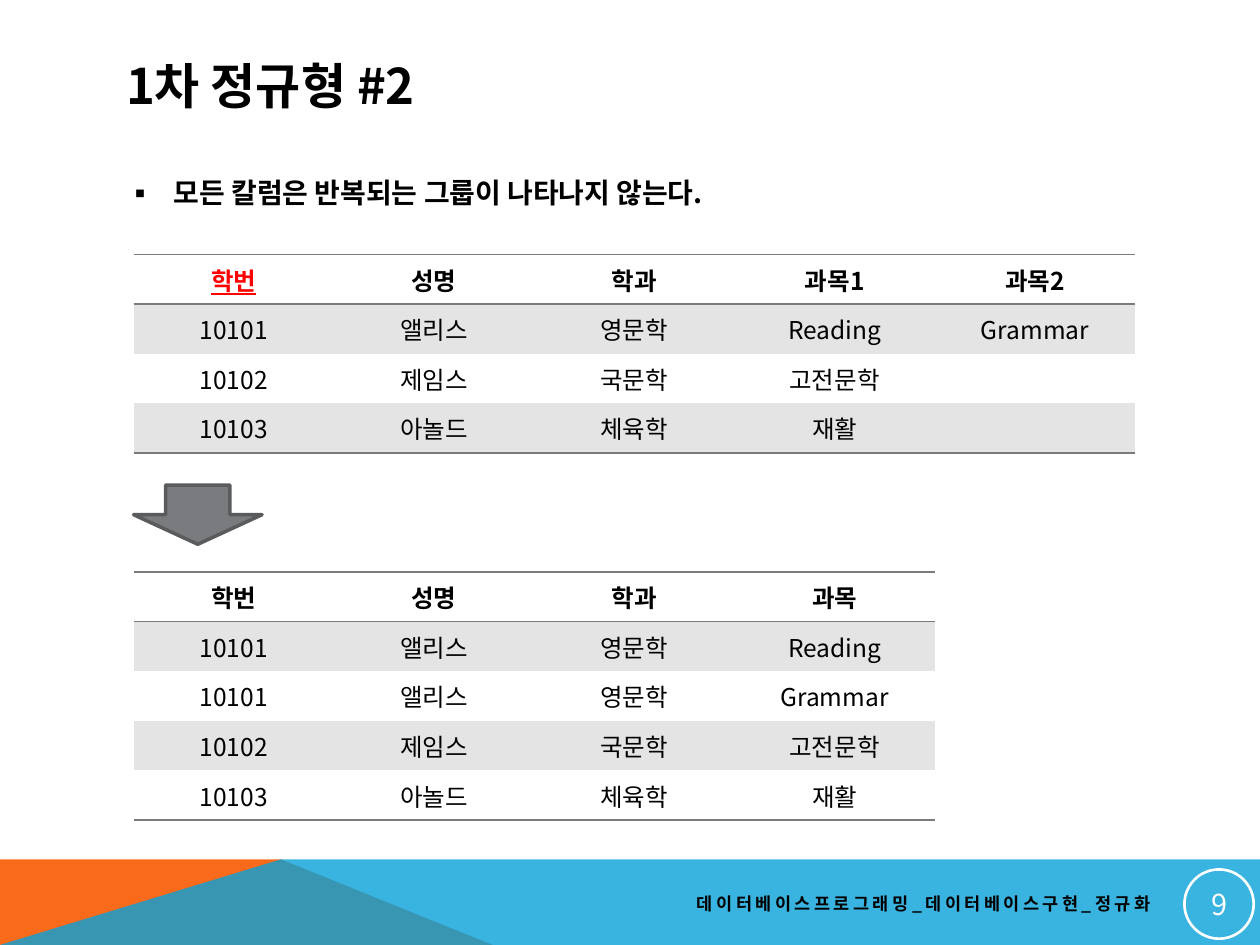
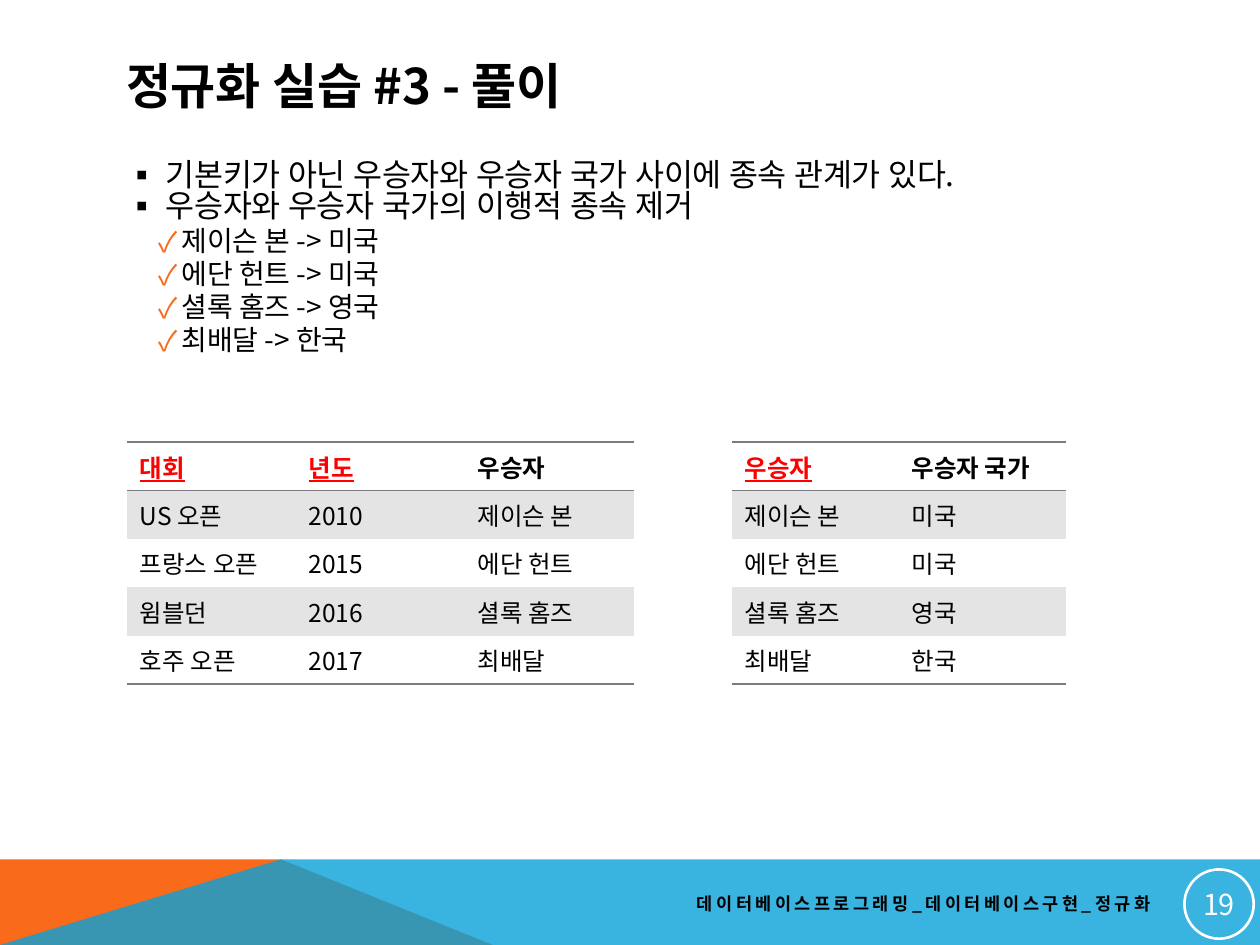
from dataclasses import dataclass

from lxml import etree
from pptx import Presentation
from pptx.dml.color import RGBColor
from pptx.enum.shapes import MSO_SHAPE
from pptx.enum.text import MSO_ANCHOR, MSO_AUTO_SIZE, PP_ALIGN
from pptx.oxml.ns import qn
from pptx.util import Inches, Pt

LEFT, CENTER, RIGHT = PP_ALIGN.LEFT, PP_ALIGN.CENTER, PP_ALIGN.RIGHT
TOP, MIDDLE = MSO_ANCHOR.TOP, MSO_ANCHOR.MIDDLE
OVAL, DOWN_ARROW = MSO_SHAPE.OVAL, MSO_SHAPE.DOWN_ARROW
NO_AUTOFIT = MSO_AUTO_SIZE.NONE

# The grid: 100 columns by 75 rows of square units
COLUMNS, ROWS = 100, 75
WIDTH, HEIGHT = Inches(10), Inches(7.5)
MARGIN, CONTENT_WIDTH = 9, 82.2
BAND_TOP = 68.2


@dataclass(frozen=True)
class Theme:
    font: str = "Noto Sans CJK KR"
    ink: str = "000000"
    paper: str = "FFFFFF"
    key: str = "FF0000"
    orange: str = "F96A1B"
    blue: str = "08A1D9"
    gray: str = "797B7E"
    gray_edge: str = "5A5B5D"
    stripe: str = "E4E4E5"
    title_size: float = 28
    list_size: float = 18
    item_size: float = 16
    number_size: float = 16.5
    cell_size: float = 14
    footer_size: float = 10
    title_spacing: float = 0.9
    list_spacing: float = 0.83


@dataclass(frozen=True)
class ListLevel:
    """Bullet form of one list level; indents in grid columns, space in points."""
    mark: str
    margin: float
    hanging: float
    size: float
    level: int = 0
    before: float = 0
    bold: bool = False
    mark_color: str = Theme.ink


HEADLINE = ListLevel("▪", 3.8, 3.8, Theme.item_size, bold=True)
POINT = ListLevel("▪", 3.1, 3.1, Theme.list_size)
CHECK = ListLevel("✓", 4.4, 1.8, Theme.item_size, level=1, before=3,
                  mark_color=Theme.orange)


def across(columns):
    return round(WIDTH * columns / COLUMNS)


def down(rows):
    return round(HEIGHT * rows / ROWS)


def area(left, top, width, height):
    return across(left), down(top), across(width), down(height)


def set_all(target, values):
    for name, value in values.items():
        setattr(target, name, value)


def add_xml(parent, tag, **attributes):
    return etree.SubElement(parent, qn(tag), attributes)


def add_xml_fill(parent, color):
    add_xml(add_xml(parent, "a:solidFill"), "a:srgbClr", val=color)


class DeckWriter:
    FOOTER = "데이터베이스프로그래밍_데이터베이스구현_정규화"

    def __init__(self, theme):
        self.theme = theme
        self.deck = Presentation()
        set_all(self.deck, {"slide_width": WIDTH, "slide_height": HEIGHT})
        self.page = None

    def start_page(self, title, number):
        self.page = self.deck.slides.add_slide(self.deck.slide_layouts[1])
        self.band()
        self.title(title)
        self.footer()
        self.page_number(number)

    def span(self, para, text, size, color=None, bold=False, underline=False):
        span = para.add_run()
        span.text = text
        set_all(span.font, {"name": self.theme.font, "size": Pt(size),
                            "bold": bold, "underline": underline})
        span.font.color.rgb = RGBColor.from_string(color or self.theme.ink)
        properties = span._r.get_or_add_rPr()
        add_xml(properties, "a:ea", typeface=self.theme.font)
        return properties

    def paint(self, shape, fill=None, line=None, line_width=1):
        shape.shadow.inherit = False
        if fill:
            shape.fill.solid()
            shape.fill.fore_color.rgb = RGBColor.from_string(fill)
        else:
            shape.fill.background()
        if line:
            shape.line.color.rgb = RGBColor.from_string(line)
            shape.line.width = Pt(line_width)
        else:
            shape.line.fill.background()

    def polygon(self, points, fill):
        corners = [(across(x), down(y)) for x, y in points]
        builder = self.page.shapes.build_freeform(*corners[0])
        builder.add_line_segments(corners[1:], close=True)
        shape = builder.convert_to_shape()
        self.paint(shape, fill)
        return shape

    def band(self):
        peak = (22.3, BAND_TOP)
        self.polygon([(0, ROWS), (0, BAND_TOP), peak, (39.1, ROWS)], self.theme.orange)
        veil = self.polygon([(0, ROWS), peak, (COLUMNS, BAND_TOP), (COLUMNS, ROWS)],
                            self.theme.blue)
        color = veil._element.spPr.find(f"{qn('a:solidFill')}/{qn('a:srgbClr')}")
        add_xml(color, "a:alpha", val="80000")

    def place(self, box, position, anchor):
        set_all(box, dict(zip(("left", "top", "width", "height"), area(*position))))
        set_all(box.text_frame, {"word_wrap": True, "auto_size": NO_AUTOFIT,
                                 "vertical_anchor": anchor})
        return box.text_frame.paragraphs[0]

    def title(self, text):
        para = self.place(self.page.shapes.title, (MARGIN, 4, CONTENT_WIDTH, 6), MIDDLE)
        set_all(para, {"alignment": LEFT, "line_spacing": self.theme.title_spacing})
        self.span(para, text, self.theme.title_size, bold=True)

    def footer(self):
        position = (40.6, 70.2, 51.7, 3)
        box = self.page.shapes.add_textbox(*area(*position))
        para = self.place(box, position, MIDDLE)
        para.alignment = RIGHT
        properties = self.span(para, self.FOOTER, self.theme.footer_size, bold=True)
        properties.set("spc", "200")

    def page_number(self, number):
        circle = self.page.shapes.add_shape(OVAL, *area(94, 69, 5.5, 5.5))
        self.paint(circle, line=self.theme.paper, line_width=1.5)
        frame = circle.text_frame
        inset = across(0.1)
        set_all(frame, {"margin_left": inset, "margin_right": inset,
                        "margin_top": inset, "margin_bottom": inset,
                        "vertical_anchor": MIDDLE})
        para = frame.paragraphs[0]
        para.alignment = CENTER
        self.span(para, str(number), self.theme.number_size, self.theme.paper)

    def bullet_list(self, position, items):
        """Fill the body placeholder with (list level, text) items."""
        body = self.page.placeholders[1]
        para = self.place(body, position, TOP)
        for index, (form, text) in enumerate(items):
            if index:
                para = body.text_frame.add_paragraph()
            properties = para._p.get_or_add_pPr()
            properties.set("marL", str(across(form.margin)))
            properties.set("indent", str(-across(form.hanging)))
            color = add_xml(properties, "a:buClr")
            add_xml(color, "a:srgbClr", val=form.mark_color)
            add_xml(properties, "a:buFont", typeface=self.theme.font)
            add_xml(properties, "a:buChar", char=form.mark)
            set_all(para, {"level": form.level, "alignment": LEFT,
                           "space_before": Pt(form.before),
                           "line_spacing": self.theme.list_spacing})
            self.span(para, text, form.size, bold=form.bold)

    def arrow(self, position):
        shape = self.page.shapes.add_shape(DOWN_ARROW, *area(*position))
        self.paint(shape, self.theme.gray, self.theme.gray_edge, 2)

    def border(self, cell, ruled):
        """Rule the sides named in ruled and clear the others."""
        properties = cell._tc.get_or_add_tcPr()
        for side in "LRTB":
            line = add_xml(properties, f"a:ln{side}", w=str(Pt(1)))
            if side in ruled:
                add_xml_fill(line, self.theme.gray)
            else:
                add_xml(line, "a:noFill")

    def table(self, left, top, column_width, row_height, records,
              keys=(), alignment=LEFT, anchor=TOP):
        """Striped table; keys are the headings marked as primary key."""
        rows, columns = len(records), len(records[0])
        position = area(left, top, columns * column_width, rows * row_height)
        table = self.page.shapes.add_table(rows, columns, *position).table
        set_all(table, {"first_row": False, "horz_banding": False})
        for column in table.columns:
            column.width = across(column_width)
        for index, record in enumerate(records):
            table.rows[index].height = down(row_height)
            ruled = ("T" if index < 2 else "") + ("B" if index in (0, rows - 1) else "")
            for cell, text in zip(table.rows[index].cells, record):
                self.border(cell, ruled)
                if index % 2:
                    cell.fill.solid()
                    cell.fill.fore_color.rgb = RGBColor.from_string(self.theme.stripe)
                else:
                    cell.fill.background()
                cell.vertical_anchor = anchor
                para = cell.text_frame.paragraphs[0]
                para.alignment = alignment
                is_key = index == 0 and text in keys
                self.span(para, text, self.theme.cell_size,
                          self.theme.key if is_key else self.theme.ink,
                          bold=index == 0, underline=is_key)


def first_normal_form(writer):
    writer.start_page("1차 정규형 #2", 9)
    writer.bullet_list((MARGIN, 13.9, CONTENT_WIDTH, 5),
                       [(HEADLINE, "모든 칼럼은 반복되는 그룹이 나타나지 않는다.")])
    left = 10.6
    grid = {"column_width": 15.9, "row_height": 3.94,
            "alignment": CENTER, "anchor": MIDDLE}
    alice = ("10101", "앨리스", "영문학")
    james = ("10102", "제임스", "국문학", "고전문학")
    arnold = ("10103", "아놀드", "체육학", "재활")
    heading = ("학번", "성명", "학과")
    writer.table(left, 20.2, records=[
        (*heading, "과목1", "과목2"),
        (*alice, "Reading", "Grammar"),
        (*james, ""),
        (*arnold, ""),
    ], keys={"학번"}, **grid)
    writer.arrow((left, 38.5, 10.2, 4.7))
    writer.table(left, 45.4, records=[
        (*heading, "과목"),
        (*alice, "Reading"),
        (*alice, "Grammar"),
        james,
        arnold,
    ], **grid)


def transitive_dependency_solution(writer):
    writer.start_page("정규화 실습 #3 - 풀이", 19)
    opens = [("US 오픈", "2010"), ("프랑스 오픈", "2015"),
             ("윔블던", "2016"), ("호주 오픈", "2017")]
    winners = [("제이슨 본", "미국"), ("에단 헌트", "미국"),
               ("셜록 홈즈", "영국"), ("최배달", "한국")]
    writer.bullet_list((MARGIN, 12.3, 76, 19.5), [
        (POINT, "기본키가 아닌 우승자와 우승자 국가 사이에 종속 관계가 있다."),
        (POINT, "우승자와 우승자 국가의 이행적 종속 제거"),
        *((CHECK, f"{name} -> {country}") for name, country in winners),
    ])
    grid = {"top": 35.1, "row_height": 3.84}
    results = [(*event, name) for event, (name, _) in zip(opens, winners)]
    writer.table(10.1, column_width=13.4, keys={"대회", "년도"},
                 records=[("대회", "년도", "우승자"), *results], **grid)
    writer.table(58.1, column_width=13.25, keys={"우승자"},
                 records=[("우승자", "우승자 국가"), *winners], **grid)


def main():
    writer = DeckWriter(Theme())
    first_normal_form(writer)
    transitive_dependency_solution(writer)
    writer.deck.save("out.pptx")


if __name__ == "__main__":
    main()
